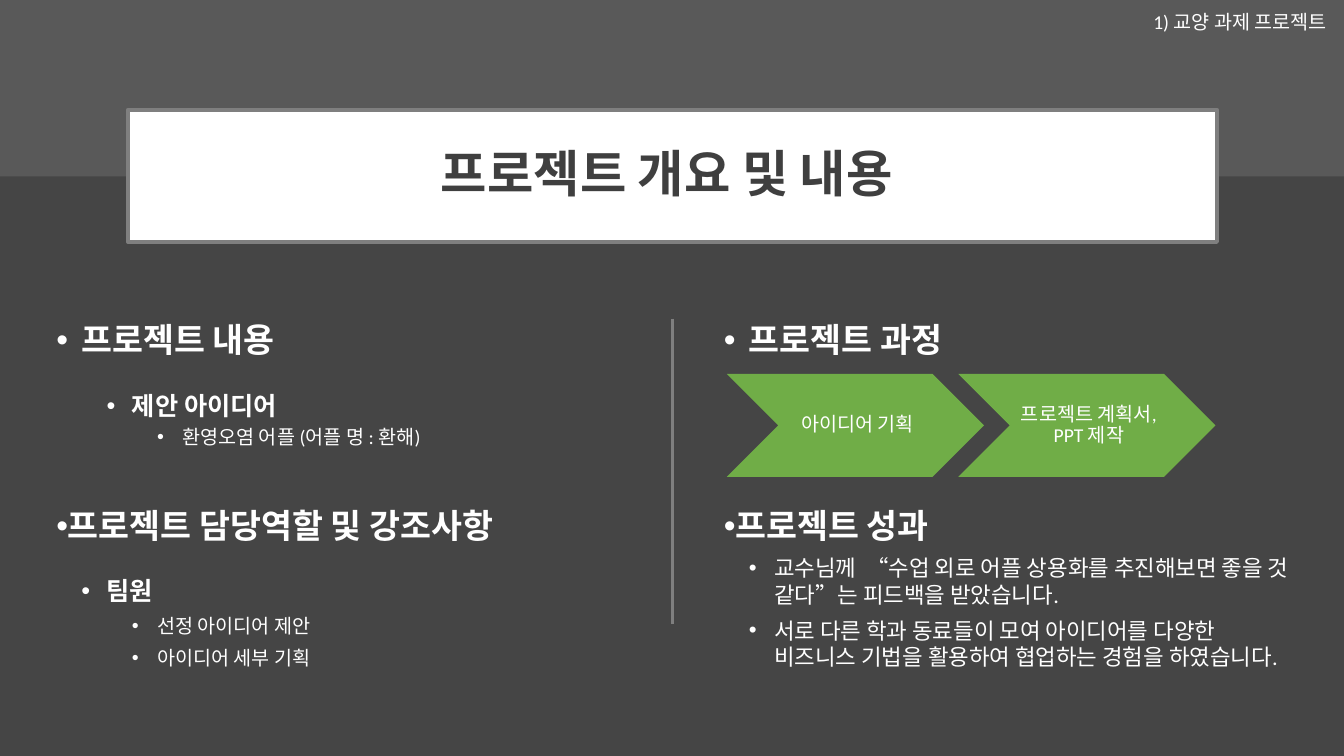
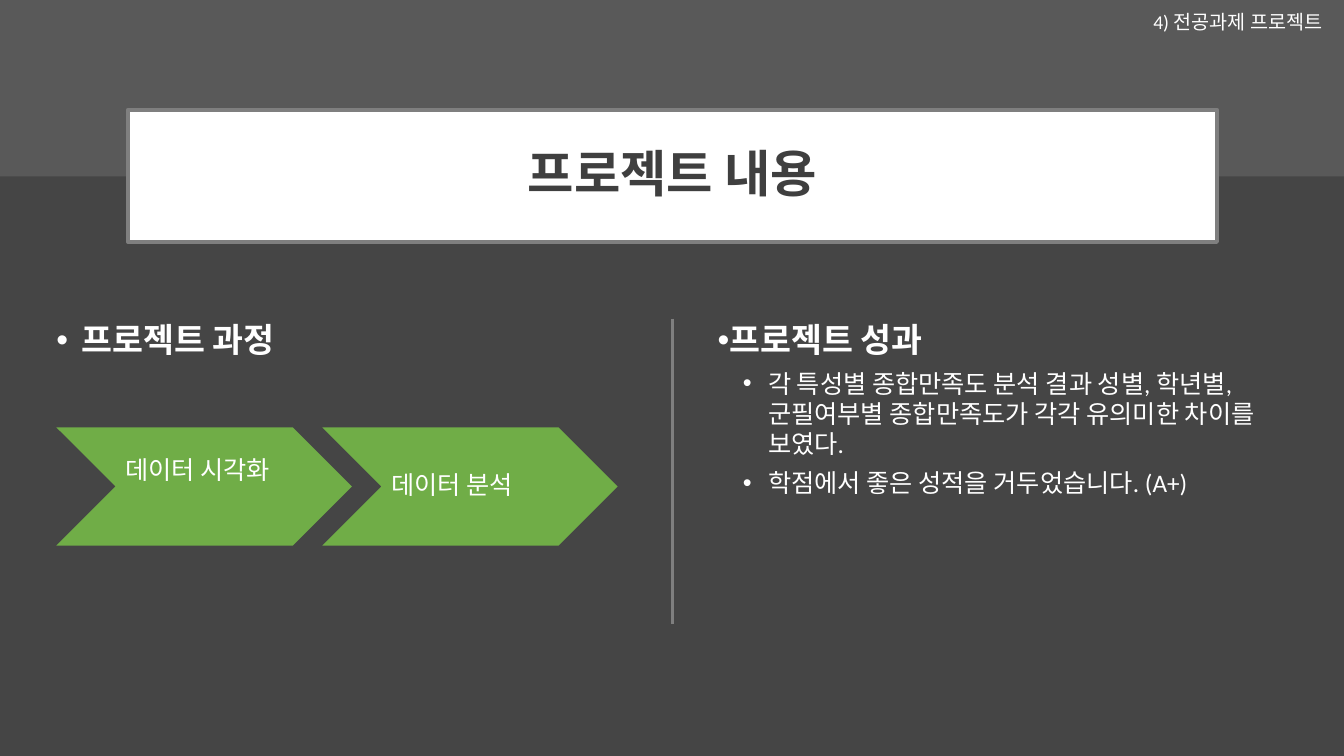
"""Build two dark project slides with a title box, bullet columns and chevron steps."""
import pptx
import pptx.dml.color
import pptx.enum.shapes
import pptx.enum.text
import pptx.oxml
import pptx.oxml.ns
import pptx.util

Inches = pptx.util.Inches
Pt = pptx.util.Pt
RGBColor = pptx.dml.color.RGBColor
Shapes = pptx.enum.shapes.MSO_SHAPE
Align = pptx.enum.text.PP_ALIGN
Anchor = pptx.enum.text.MSO_ANCHOR

BACKGROUND = RGBColor(0x45, 0x45, 0x45)
BAND = RGBColor(0x59, 0x59, 0x59)
RULE = RGBColor(0x7F, 0x7F, 0x7F)
TITLE_TEXT = RGBColor(0x3F, 0x3F, 0x3F)
WHITE = RGBColor(0xFF, 0xFF, 0xFF)
GREEN = RGBColor(0x70, 0xAD, 0x47)

FONT = "Calibri"
WIDTH, HEIGHT = 13.33, 7.5
COLUMN_WIDTH, COLUMN_TOP, LOWER_TOP = 5.85, 3.16, 5.01
LEFT_COLUMN = 0.46
HANGING = 0.25
CHEVRON_PITCH = 0.9

HEADING = {"size": 24, "bold": True, "line_spacing": 0.9}
LOOSE_HEADING = {**HEADING, "space_after": Pt(6)}
TOPIC = {"size": 18, "bold": True}
DETAIL = {"size": 14}
TIGHT = {"line_spacing": 0.9, "space_before": Pt(5)}
LOOSE = {"space_after": Pt(6)}


def apply_format(target, values):
    """Set each named attribute on the target."""
    for name, value in values.items():
        setattr(target, name, value)


def write(paragraph, text, size, color=WHITE, bold=False, **values):
    """Fill a paragraph with one run of styled text."""
    run = paragraph.add_run()
    run.text = text
    apply_format(run.font, {"name": FONT, "size": Pt(size), "bold": bold})
    run.font.color.rgb = color
    apply_format(paragraph, values)


def add_bullet(paragraph, margin):
    """Give a paragraph a hanging round bullet at a margin in inches."""
    properties = paragraph._p.get_or_add_pPr()
    properties.set("marL", str(Inches(margin)))
    properties.set("indent", str(Inches(-HANGING)))
    for tag, name, value in (("a:buFont", "typeface", "Arial"), ("a:buChar", "char", "•")):
        bullet = pptx.oxml.parse_xml(f"<{tag} {pptx.oxml.ns.nsdecls('a')} {name}='{value}'/>")
        properties.append(bullet)


def add_box(slide, kind, left, top, width, height, fill, line=None):
    """Add a filled preset shape, outlined only when a line colour is given."""
    shape = slide.shapes.add_shape(kind, Inches(left), Inches(top), Inches(width), Inches(height))
    shape.shadow.inherit = False
    shape.fill.solid()
    shape.fill.fore_color.rgb = fill
    if line is None:
        shape.line.fill.background()
    else:
        shape.line.color.rgb = line
        shape.line.width = Pt(3)
    return shape


def add_text_box(slide, left, top, width, height):
    """Add a wrapping text box and return its text frame."""
    box = slide.shapes.add_textbox(Inches(left), Inches(top), Inches(width), Inches(height))
    box.text_frame.word_wrap = True
    return box.text_frame


def add_bullets(slide, left, top, height, items):
    """Add a column of bullets from (text, margin, format) items."""
    frame = add_text_box(slide, left, top, COLUMN_WIDTH, height)
    for index, (text, margin, values) in enumerate(items):
        paragraph = frame.add_paragraph() if index else frame.paragraphs[0]
        write(paragraph, text, **values)
        add_bullet(paragraph, margin)


def add_chevrons(slide, left, top, width, size, steps, alignment, inset):
    """Add a row of chevrons from (text, bottom inset) steps."""
    for index, (text, bottom) in enumerate(steps):
        chevron = add_box(slide, Shapes.CHEVRON, left + index * width * CHEVRON_PITCH,
                          top, width, width * 0.4, GREEN)
        frame = chevron.text_frame
        apply_format(frame, {
            "word_wrap": True, "vertical_anchor": Anchor.MIDDLE,
            "margin_left": Inches(inset), "margin_right": Inches(0.02),
            "margin_top": Inches(0.02), "margin_bottom": Inches(bottom)})
        write(frame.paragraphs[0], text, size, line_spacing=0.9, alignment=alignment)


def add_divider(slide):
    """Add the vertical rule between the columns."""
    center = Inches(6.67)
    divider = slide.shapes.add_connector(pptx.enum.shapes.MSO_CONNECTOR.STRAIGHT,
                                         center, Inches(COLUMN_TOP), center, Inches(6.19))
    divider.line.color.rgb = RULE
    divider.line.width = Pt(1.5)
    effects = pptx.oxml.parse_xml(f"<a:effectLst {pptx.oxml.ns.nsdecls('a')}/>")
    divider._element.spPr.append(effects)


def add_project_slide(presentation, title, label):
    """Add a slide with the shared band, title box, corner label and divider."""
    slide = presentation.slides.add_slide(presentation.slide_layouts[6])
    slide.background.fill.solid()
    slide.background.fill.fore_color.rgb = BACKGROUND
    add_box(slide, Shapes.RECTANGLE, 0, 0, WIDTH, 1.75, BAND)
    title_box = add_box(slide, Shapes.RECTANGLE, 1.27, 1.09, 10.8, 1.31, WHITE, RULE)
    title_box.text_frame.vertical_anchor = Anchor.MIDDLE
    write(title_box.text_frame.paragraphs[0], title, 36, TITLE_TEXT, True,
          line_spacing=0.9, alignment=Align.CENTER)
    corner = add_text_box(slide, 11.34, 0, 1.99, 0.45)
    apply_format(corner, {"vertical_anchor": Anchor.MIDDLE, "margin_right": 0})
    write(corner.paragraphs[0], label, 14, line_spacing=0.9)
    add_divider(slide)
    return slide


def add_overview_slide(presentation):
    """Add the slide on the general course project."""
    slide = add_project_slide(presentation, "프로젝트 개요 및 내용 ", "1) 교양 과제 프로젝트")
    right = 7.08
    outcome = {"size": 16, **LOOSE}
    add_bullets(slide, LEFT_COLUMN, COLUMN_TOP, 1.8, [
        ("프로젝트 내용", 0.25, HEADING),
        ("제안 아이디어", 0.75, {**TOPIC, **TIGHT, "space_before": Pt(24)}),
        ("환영오염 어플 (어플 명 : 환해)", 1.25, {**DETAIL, **TIGHT})])
    add_bullets(slide, LEFT_COLUMN, LOWER_TOP, 2.4, [
        ("프로젝트 담당역할 및 강조사항", 0, LOOSE_HEADING),
        ("팀원", 0.5, {**TOPIC, **LOOSE, "space_before": Pt(15)}),
        ("선정 아이디어 제안", 1, {**DETAIL, **LOOSE}),
        ("아이디어 세부 기획", 1, {**DETAIL, **LOOSE})])
    add_bullets(slide, right, COLUMN_TOP, 0.59, [("프로젝트 과정", 0.25, HEADING)])
    add_chevrons(slide, 7.21, 3.71, 2.55, 14,
                 [("아이디어 기획", 0.02), ("프로젝트 계획서, PPT 제작", 0.02)],
                 Align.CENTER, 0.06)
    add_bullets(slide, right, LOWER_TOP, 2.4, [
        ("프로젝트 성과", 0, LOOSE_HEADING),
        ("교수님께  “수업 외로 어플 상용화를 추진해보면 좋을 것 같다”는 피드백을 받았습니다.",
         0.5, outcome),
        ("서로 다른 학과 동료들이 모여 아이디어를 다양한 비즈니스 기법을 활용하여 "
         "협업하는 경험을 하였습니다.", 0.5, outcome)])


def add_analysis_slide(presentation):
    """Add the slide on the major course project."""
    slide = add_project_slide(presentation, "프로젝트 내용", "4) 전공과제 프로젝트")
    outcome = {"size": 18, **LOOSE}
    add_bullets(slide, LEFT_COLUMN, COLUMN_TOP, 0.59, [("프로젝트 과정", 0.25, HEADING)])
    add_chevrons(slide, 0.56, 4.24, 2.93, 18,
                 [("데이터 시각화", 0.32), ("데이터 분석", 0.03)], Align.LEFT, 0.1)
    add_bullets(slide, 7.02, COLUMN_TOP, 3.24, [
        ("프로젝트 성과", 0, LOOSE_HEADING),
        ("각 특성별 종합만족도 분석 결과 성별, 학년별, 군필여부별 종합만족도가 각각 "
         "유의미한 차이를 보였다.", 0.5, outcome),
        ("학점에서 좋은 성적을 거두었습니다. (A+)", 0.5, outcome)])


def main():
    """Build and save the presentation."""
    presentation = pptx.Presentation()
    presentation.slide_width = Inches(WIDTH)
    presentation.slide_height = Inches(HEIGHT)
    add_overview_slide(presentation)
    add_analysis_slide(presentation)
    presentation.save("out.pptx")


if __name__ == "__main__":
    main()
